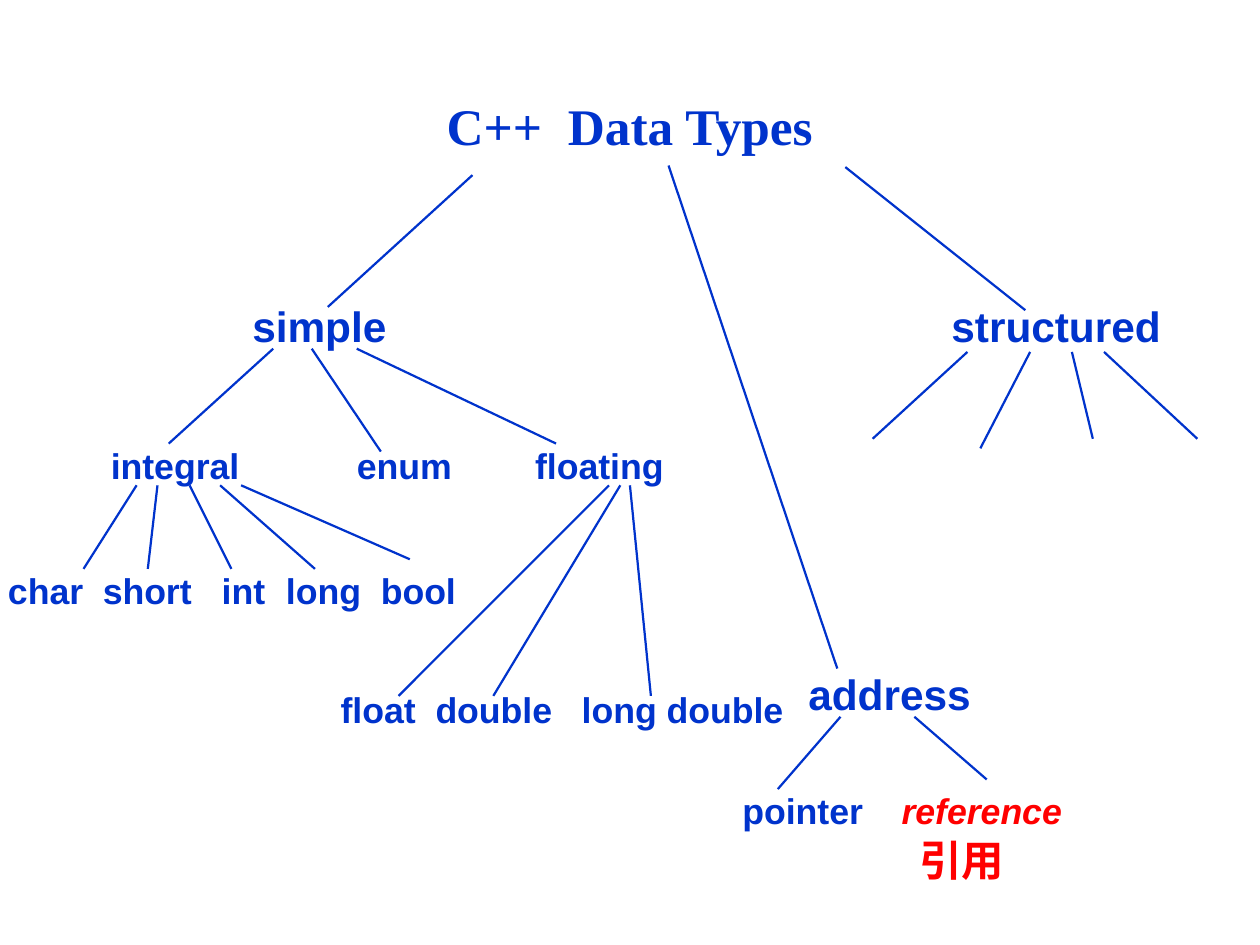
from dataclasses import dataclass

from lxml import etree
from pptx import Presentation
from pptx.dml.color import RGBColor
from pptx.enum.shapes import MSO_CONNECTOR
from pptx.enum.text import MSO_ANCHOR, PP_ALIGN
from pptx.oxml.ns import qn
from pptx.util import Inches, Pt

STRAIGHT = MSO_CONNECTOR.STRAIGHT
MIDDLE, TOP = MSO_ANCHOR.MIDDLE, MSO_ANCHOR.TOP
CENTER, LEFT = PP_ALIGN.CENTER, PP_ALIGN.LEFT
COLORS = {"blue": "0033CC", "red": "FF0000"}


@dataclass
class Label:
    """A word of the tree."""
    text: str
    left: float
    top: float
    width: float
    size: int = 16
    color: str = "blue"
    italic: bool = False


@dataclass
class Branch:
    """A line from a type to one of its kinds."""
    x1: float
    y1: float
    x2: float
    y2: float


LABELS = [
    Label("simple", 1.49, 1.83, 1.05, 19),
    Label("structured", 5.84, 1.83, 1.55, 19),
    Label("address", 4.95, 4.12, 1.25, 19),
    Label("integral", 0.61, 2.72, 1.05),
    Label("enum", 2.14, 2.72, 0.85),
    Label("floating", 3.25, 2.72, 1.05),
    Label("char", -0.03, 3.5, 0.7),
    Label("short", 0.56, 3.5, 0.8),
    Label("int", 1.3, 3.5, 0.5),
    Label("long", 1.7, 3.5, 0.7),
    Label("bool", 2.29, 3.5, 0.7),
    Label("float", 2.04, 4.24, 0.7),
    Label("double", 2.63, 4.24, 0.95),
    Label("long double", 3.54, 4.24, 1.5),
    Label("pointer", 4.54, 4.87, 1),
    Label("reference", 5.53, 4.87, 1.25, 16, "red", True),
    Label("引用", 5.64, 5.15, 0.75, 19, "red"),
]

BRANCHES = [
    Branch(2.94, 1.09, 2.04, 1.91),
    Branch(4.16, 1.03, 5.21, 4.16),
    Branch(5.26, 1.04, 6.38, 1.93),
    Branch(1.7, 2.17, 1.05, 2.76),
    Branch(1.94, 2.17, 2.37, 2.81),
    Branch(2.22, 2.17, 3.46, 2.76),
    Branch(6.02, 2.19, 5.43, 2.73),
    Branch(6.41, 2.19, 6.1, 2.79),
    Branch(6.67, 2.19, 6.8, 2.73),
    Branch(6.87, 2.19, 7.45, 2.73),
    Branch(0.85, 3.02, 0.52, 3.54),
    Branch(0.98, 3.02, 0.92, 3.54),
    Branch(1.18, 3.02, 1.44, 3.54),
    Branch(1.37, 3.02, 1.96, 3.54),
    Branch(1.5, 3.02, 2.55, 3.48),
    Branch(3.79, 3.02, 2.48, 4.33),
    Branch(3.86, 3.02, 3.07, 4.33),
    Branch(3.92, 3.02, 4.05, 4.33),
    Branch(5.23, 4.46, 4.84, 4.91),
    Branch(5.69, 4.46, 6.14, 4.85),
]


def tint(name: str) -> RGBColor:
    """Look up a colour by name."""
    return RGBColor.from_string(COLORS[name])


def set_text(shape, text: str, size: int, face: str = "Arial",
             color: str = "blue", italic: bool = False,
             align=LEFT, anchor=TOP) -> None:
    """Fill a shape with one line of bold text."""
    frame = shape.text_frame
    frame.text = text
    frame.word_wrap = True
    frame.vertical_anchor = anchor
    frame.margin_left = frame.margin_right = Inches(0.08)
    frame.margin_top = frame.margin_bottom = Inches(0.04)
    line = frame.paragraphs[0]
    line.alignment = align
    font = line.runs[0].font
    font.name, font.size = face, Pt(size)
    font.bold, font.italic = True, italic
    font.color.rgb = tint(color)


def add_label(slide, item: Label) -> None:
    """Draw one word of the tree."""
    height = 0.4 if item.size > 16 else 0.35
    box = slide.shapes.add_textbox(
        Inches(item.left), Inches(item.top), Inches(item.width), Inches(height))
    set_text(box, item.text, item.size, color=item.color, italic=item.italic)


def add_branch(slide, item: Branch) -> None:
    """Draw one line of the tree."""
    ends = [Inches(n) for n in (item.x1, item.y1, item.x2, item.y2)]
    link = slide.shapes.add_connector(STRAIGHT, *ends)
    link.line.color.rgb = tint("blue")
    link.line.width = Pt(1)
    etree.SubElement(link._element.spPr, qn("a:effectLst"))


def main() -> None:
    """Build the slide and save it."""
    deck = Presentation()
    deck.slide_width, deck.slide_height = Inches(7.84), Inches(5.88)
    slide = deck.slides.add_slide(deck.slide_layouts[5])
    title = slide.shapes.title
    title.left, title.top = Inches(0.26), Inches(0.55)
    title.width, title.height = Inches(7.32), Inches(0.46)
    set_text(title, "C++  Data Types", 23, "Times New Roman",
             align=CENTER, anchor=MIDDLE)
    for item in BRANCHES:
        add_branch(slide, item)
    for item in LABELS:
        add_label(slide, item)
    deck.save("out.pptx")


if __name__ == "__main__":
    main()
